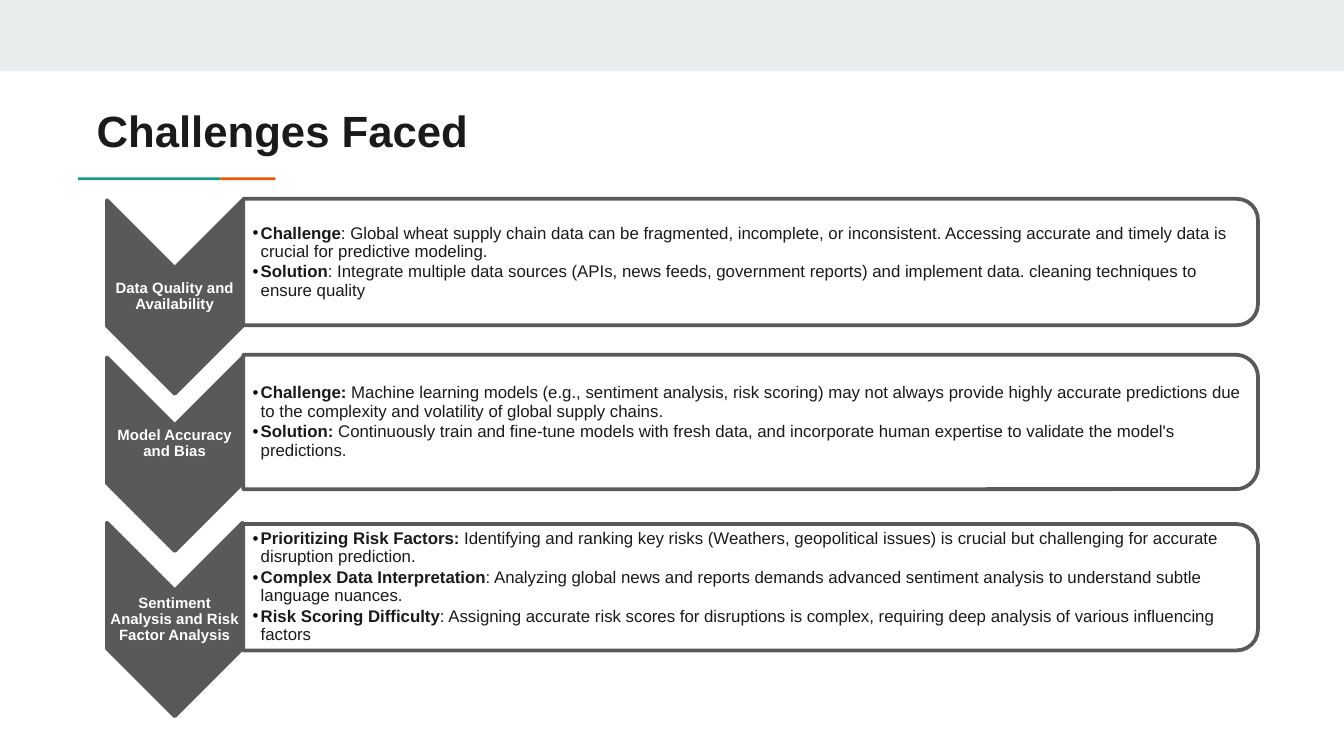
from lxml import etree
from pptx import Presentation
from pptx import util as u
from pptx.dml.color import RGBColor
from pptx.enum import shapes, text
from pptx.oxml import ns

BAND = RGBColor(0xE9, 0xED, 0xEE)
TEAL = RGBColor(0x1A, 0x99, 0x88)
ORANGE = RGBColor(0xEB, 0x56, 0x00)
GRAY = RGBColor(0x59, 0x59, 0x59)
INK = RGBColor(0x1A, 0x1A, 0x1A)
WHITE = RGBColor(0xFF, 0xFF, 0xFF)

TITLE = {"size": u.Pt(23.4), "bold": True, "color": INK}
LABEL = {"size": u.Pt(8), "bold": True, "color": WHITE}
LEAD = {"size": u.Pt(9), "bold": True, "color": INK}
BODY = {**LEAD, "bold": False}

SLIDE_WIDTH = 10
CHEVRON_LENGTH, CHEVRON_WIDTH, CHEVRON_CENTER = 1.44, 1.01, 1.3
PANEL_LEFT, PANEL_WIDTH = 1.81, 7.55
LABEL_HEIGHT = 0.43

# Label, chevron center, label center, panel center, panel height, points
CHALLENGES = [
    ("Data Quality and Availability", 2.21, 2.21, 1.95, 0.94, [
        ("Challenge", ": Global wheat supply chain data can be fragmented, incomplete, or "
         "inconsistent. Accessing accurate and timely data is crucial for predictive modeling."),
        ("Solution", ": Integrate multiple data sources (APIs, news feeds, government reports) "
         "and implement data. cleaning techniques to ensure quality"),
    ]),
    ("Model Accuracy and Bias", 3.38, 3.3, 3.14, 1, [
        ("Challenge: ", "Machine learning models (e.g., sentiment analysis, risk scoring) may not "
         "always provide highly accurate predictions due to the complexity and volatility of "
         "global supply chains."),
        ("Solution: ", "Continuously train and fine-tune models with fresh data, and incorporate "
         "human expertise to validate the model's predictions."),
    ]),
    ("Sentiment Analysis and Risk Factor Analysis", 4.61, 4.61, 4.37, 0.94, [
        ("Prioritizing Risk Factors: ", "Identifying and ranking key risks (Weathers, geopolitical "
         "issues) is crucial but challenging for accurate disruption prediction."),
        ("Complex Data Interpretation", ": Analyzing global news and reports demands advanced "
         "sentiment analysis to understand subtle language nuances."),
        ("Risk Scoring Difficulty", ": Assigning accurate risk scores for disruptions is complex, "
         "requiring deep analysis of various influencing factors"),
    ]),
]


class SlideBuilder:
    """Holds the style and the current slide."""

    font = "Arial"
    outline = u.Pt(2)

    def __init__(self, slide):
        self.slide = slide

    def shape(self, kind, left, top, width, height, fill, line=None, rotation=0):
        shape = self.slide.shapes.add_shape(
            kind, *map(u.Inches, (left, top, width, height)))
        shape.shadow.inherit = False
        shape.rotation = rotation
        shape.fill.solid()
        shape.fill.fore_color.rgb = fill
        if line is None:
            shape.line.fill.background()
        else:
            shape.line.color.rgb = line
            shape.line.width = self.outline
        return shape

    def upright(self, kind, center_x, center_y, width, height, fill):
        """Place a shape turned a quarter, given its size as seen."""
        return self.shape(kind, center_x - height / 2, center_y - width / 2,
                          height, width, fill, GRAY, 90)

    def text(self, left, top, width, height, paragraphs, margins,
             anchor=text.MSO_ANCHOR.MIDDLE, bullet=False, **formats):
        """Each paragraph is a list of (words, style) runs."""
        box = self.slide.shapes.add_textbox(*map(u.Inches, (left, top, width, height)))
        frame = box.text_frame
        frame.word_wrap = True
        frame.vertical_anchor = anchor
        for side, margin in zip(("left", "top", "right", "bottom"), margins):
            setattr(frame, f"margin_{side}", u.Inches(margin))
        for index, runs in enumerate(paragraphs):
            paragraph = frame.add_paragraph() if index else frame.paragraphs[0]
            for name, value in formats.items():
                setattr(paragraph, name, value)
            if bullet:
                self.bullet(paragraph)
            for words, style in runs:
                self.run(paragraph, words, style)

    def run(self, paragraph, words, style):
        run = paragraph.add_run()
        run.text = words
        run.font.name = self.font
        for name, value in style.items():
            if name == "color":
                run.font.color.rgb = value
            else:
                setattr(run.font, name, value)

    def bullet(self, paragraph):
        properties = paragraph._p.get_or_add_pPr()
        indent = u.Inches(0.06)
        properties.set("marL", str(indent))
        properties.set("indent", str(-indent))
        color = etree.SubElement(properties, ns.qn("a:buClr"))
        etree.SubElement(color, ns.qn("a:srgbClr"), val="000000")
        etree.SubElement(properties, ns.qn("a:buFont"), typeface=self.font)
        etree.SubElement(properties, ns.qn("a:buChar"), char="•")


def main():
    # Widescreen slide, 16:9
    presentation = Presentation()
    presentation.slide_width = u.Inches(SLIDE_WIDTH)
    presentation.slide_height = u.Inches(SLIDE_WIDTH * 9 / 16)
    builder = SlideBuilder(presentation.slides.add_slide(presentation.slide_layouts[6]))
    kinds = shapes.MSO_SHAPE

    # Top band, title and two-colour rule
    builder.shape(kinds.RECTANGLE, 0, 0, SLIDE_WIDTH, 0.53, BAND)
    builder.shape(kinds.RECTANGLE, 0.58, 1.32, 1.06, 0.02, TEAL)
    builder.shape(kinds.RECTANGLE, 1.64, 1.32, 0.41, 0.02, ORANGE)
    builder.text(0.62, 0.67, 8.41, 0.51, [[("Challenges Faced", TITLE)]],
                 (0.1,) * 4, text.MSO_ANCHOR.TOP)

    # One chevron and one panel for each challenge
    for label, chevron_y, label_y, panel_y, panel_height, points in CHALLENGES:
        builder.upright(kinds.CHEVRON, CHEVRON_CENTER, chevron_y,
                        CHEVRON_WIDTH, CHEVRON_LENGTH, GRAY)
        builder.text(CHEVRON_CENTER - CHEVRON_WIDTH / 2, label_y - LABEL_HEIGHT / 2,
                     CHEVRON_WIDTH, LABEL_HEIGHT, [[(label, LABEL)]], (0.01,) * 4,
                     alignment=text.PP_ALIGN.CENTER, line_spacing=0.9)
        builder.upright(kinds.ROUND_2_SAME_RECTANGLE, PANEL_LEFT + PANEL_WIDTH / 2, panel_y,
                        PANEL_WIDTH, panel_height, WHITE)
        text_height = panel_height - 0.09
        builder.text(PANEL_LEFT, panel_y - text_height / 2, PANEL_WIDTH - 0.04, text_height,
                     [[(lead, LEAD), (body, BODY)] for lead, body in points],
                     (0.07, 0.01, 0.01, 0.01), bullet=True,
                     line_spacing=0.9, space_after=u.Pt(1.35))

    presentation.save("out.pptx")


if __name__ == "__main__":
    main()
